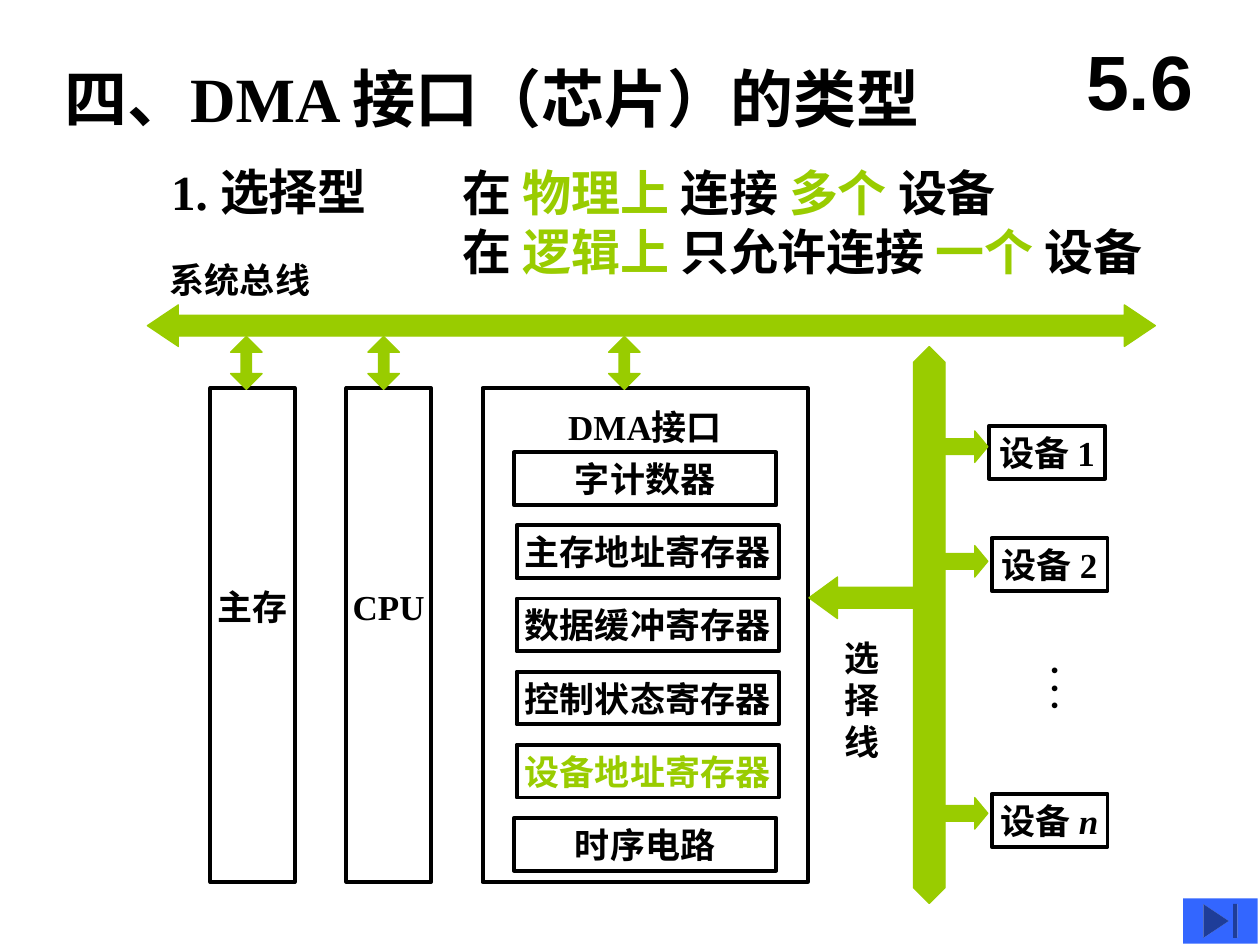
from pptx import Presentation
from pptx import util as u
from pptx.dml.color import RGBColor
from pptx.enum import shapes, text

COLORS = {"ink": "000000", "accent": "99CC00", "button": "3366FF", "paper": "FFFFFF"}
SHAPE = shapes.MSO_SHAPE
ANCHOR = text.MSO_ANCHOR
ALIGN = text.PP_ALIGN


class Deck:
    font = {"name": "Times New Roman", "bold": True}

    def __init__(self):
        self.prs = Presentation()
        self.prs.slide_width, self.prs.slide_height = u.Inches(10), u.Inches(7.5)
        self.s = self.prs.slides.add_slide(self.prs.slide_layouts[5])
        fill = self.s.background.fill
        fill.solid()
        fill.fore_color.rgb = self.color("paper")

    def color(self, name):
        return RGBColor.from_string(COLORS[name])

    def set_text(self, tf, paragraphs, size, align=ALIGN.LEFT, anchor=ANCHOR.TOP,
                 wrap=False, margins=(0.1, 0.05, 0.1, 0.05), **font):
        sides = ("margin_left", "margin_top", "margin_right", "margin_bottom")
        frame = dict(zip(sides, map(u.Inches, margins)), word_wrap=wrap,
                     auto_size=text.MSO_AUTO_SIZE.NONE, vertical_anchor=anchor)
        for key, value in frame.items():
            setattr(tf, key, value)
        for i, runs in enumerate(paragraphs):
            p = tf.paragraphs[0] if i == 0 else tf.add_paragraph()
            p.alignment = align
            for words, color, *style in runs:
                r = p.add_run()
                r.text = words
                r.font.color.rgb = self.color(color)
                look = {**self.font, "size": u.Pt(size), **font}
                if "italic" in style:
                    look["italic"] = True
                for key, value in look.items():
                    setattr(r.font, key, value)

    def title(self, box, words, size):
        sp = self.s.shapes.title
        for key, value in zip(("left", "top", "width", "height"), box):
            setattr(sp, key, u.Inches(value))
        self.set_text(sp.text_frame, [[(words, "ink")]], size)

    def label(self, box, paragraphs, size=20, **style):
        sp = self.s.shapes.add_textbox(*map(u.Inches, box))
        self.set_text(sp.text_frame, paragraphs, size, **style)
        return sp

    def shape(self, kind, box, fill=None, line=None, width=0.75):
        sp = self.s.shapes.add_shape(kind, *map(u.Inches, box))
        sp.shadow.inherit = False
        for part, name in ((sp.fill, fill), (sp.line.fill, line)):
            if name:
                part.solid()
                part.fore_color.rgb = self.color(name)
            else:
                part.background()
        if line:
            sp.line.width = u.Pt(width)
        return sp

    def block(self, box, runs, anchor=ANCHOR.MIDDLE, margins=(0, 0, 0, 0)):
        sp = self.shape(SHAPE.RECTANGLE, box, line="ink", width=2.25)
        self.set_text(sp.text_frame, [runs], 20, align=ALIGN.CENTER,
                      anchor=anchor, margins=margins)

    def arrow(self, kind, box, head):
        sp = self.shape(kind, box, fill="accent", line="accent")
        sp.adjustments[0], sp.adjustments[1] = 0.5, head


def main():
    d = Deck()
    d.title((0.41, 0.42, 7.26, 0.7), "四、DMA 接口（芯片）的类型", 36)
    d.label((8.42, 0.17, 1.25, 0.92), [[("5.6", "ink")]], 44, name="Arial",
            align=ALIGN.CENTER, anchor=ANCHOR.MIDDLE, wrap=True)
    d.label((1.26, 1.23, 1.84, 0.57), [[("1. 选择型", "ink")]], 28)
    d.label((3.57, 1.24, 6.1, 1.04), [
        [("在 ", "ink"), ("物理上 ", "accent"), ("连接 ", "ink"),
         ("多个 ", "accent"), ("设备", "ink")],
        [("在 ", "ink"), ("逻辑上 ", "accent"), ("只允许连接 ", "ink"),
         ("一个 ", "accent"), ("设备", "ink")],
    ], 28, wrap=True)

    unit_top, unit_height = 3.08, 3.92
    for left, name in ((1.67, "主存"), (2.75, "CPU")):
        d.block((left, unit_top, 0.67, unit_height), [(name, "ink")],
                margins=(0, 0, 0, 0.46))
    d.block((3.83, unit_top, 2.58, unit_height), [("DMA接口", "ink")],
            anchor=ANCHOR.TOP, margins=(0, 0.14, 0, 0))

    registers = [
        (4.08, "字计数器", "ink"),
        (4.1, "主存地址寄存器", "ink"),
        (4.1, "数据缓冲寄存器", "ink"),
        (4.1, "控制状态寄存器", "ink"),
        (4.1, "设备地址寄存器", "accent"),
        (4.08, "时序电路", "ink"),
    ]
    for i, (left, name, color) in enumerate(registers):
        d.block((left, 3.59 + 0.58 * i, 2.08, 0.42), [(name, color)])

    d.label((1.25, 2, 1.31, 0.44), [[("系统总线", "ink")]])
    d.arrow(SHAPE.LEFT_RIGHT_ARROW, (1.17, 2.42, 8, 0.33), 0.745)
    for left in (1.83, 2.92, 4.83):
        d.arrow(SHAPE.UP_DOWN_ARROW, (left, 2.67, 0.25, 0.42), 0.332)

    d.arrow(SHAPE.UP_DOWN_ARROW, (7.25, 2.75, 0.25, 4.42), 1.418)
    d.arrow(SHAPE.LEFT_ARROW, (6.42, 4.58, 0.92, 0.33), 0.688)
    d.label((6.6, 5, 0.48, 1.1), [[(c, "ink")] for c in "选择线"])

    devices = [
        (7.85, 3.38, 3.42, ("1", "ink")),
        (7.87, 4.27, 4.33, ("2", "ink")),
        (7.87, 6.3, 6.33, ("n", "ink", "italic")),
    ]
    for left, top, arrow_top, number in devices:
        d.block((left, top, 0.92, 0.42), [("设备 ", "ink"), number])
        d.arrow(SHAPE.RIGHT_ARROW, (7.42, arrow_top, 0.42, 0.25), 0.417)
    dots = d.label((8.15, 5.19, 0.53, 0.45), [[(". . .", "ink")]],
                   margins=(0.05, 0.1, 0.05, 0.1))
    dots.text_frame._txBody.bodyPr.set("vert", "eaVert")

    d.shape(SHAPE.ACTION_BUTTON_END, (9.39, 7.13, 0.59, 0.36), fill="button")
    d.prs.save("out.pptx")


if __name__ == "__main__":
    main()
